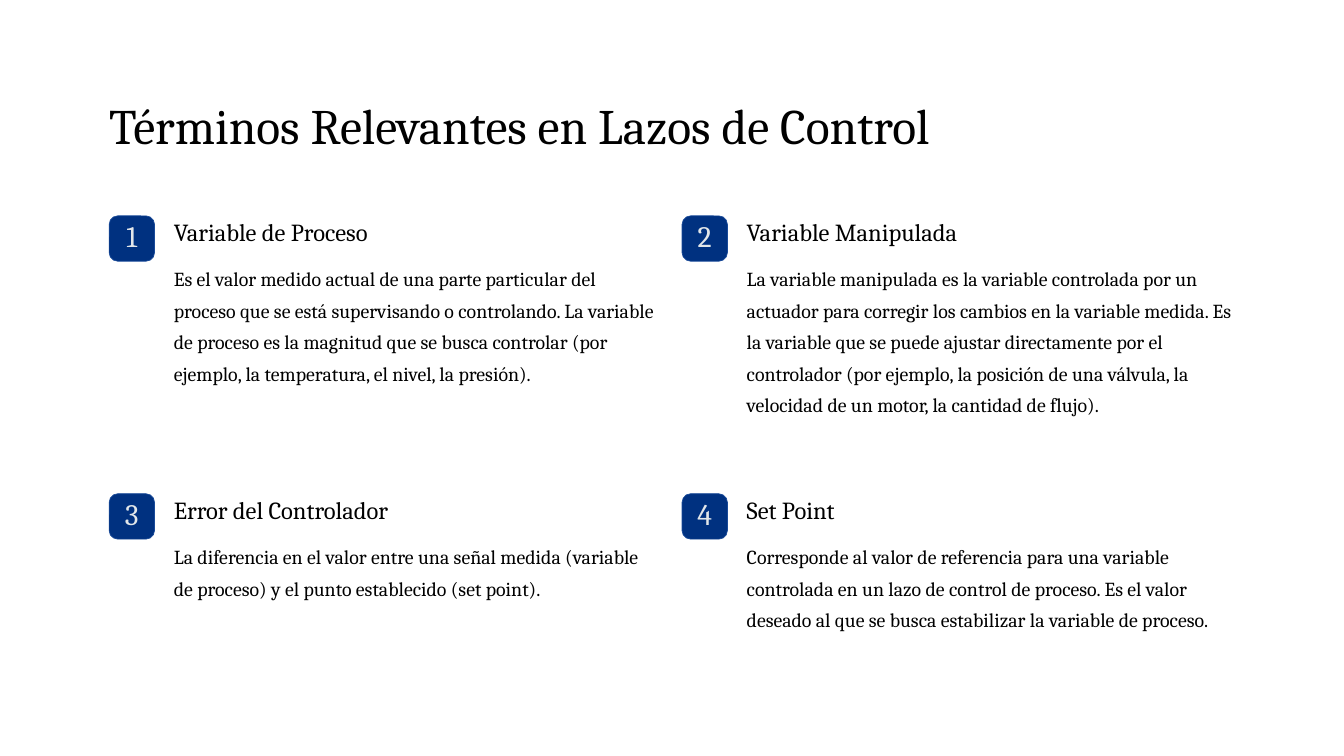
import pptx
import pptx.util
import pptx.dml.color
import pptx.enum.shapes
import pptx.enum.text

Pt = pptx.util.Pt
RGBColor = pptx.dml.color.RGBColor
PP_ALIGN = pptx.enum.text.PP_ALIGN
MSO_ANCHOR = pptx.enum.text.MSO_ANCHOR

# Content: heading, explanation, lines reserved for the explanation
TITLE = "Términos Relevantes en Lazos de Control"
TERMS = [
    ("Variable de Proceso",
     "Es el valor medido actual de una parte particular del proceso que se está "
     "supervisando o controlando. La variable de proceso es la magnitud que se busca "
     "controlar (por ejemplo, la temperatura, el nivel, la presión).", 5),
    ("Variable Manipulada",
     "La variable manipulada es la variable controlada por un actuador para corregir "
     "los cambios en la variable medida. Es la variable que se puede ajustar "
     "directamente por el controlador (por ejemplo, la posición de una válvula, la "
     "velocidad de un motor, la cantidad de flujo).", 6),
    ("Error del Controlador",
     "La diferencia en el valor entre una señal medida (variable de proceso) y el "
     "punto establecido (set point).", 3),
    ("Set Point",
     "Corresponde al valor de referencia para una variable controlada en un lazo de "
     "control de proceso. Es el valor deseado al que se busca estabilizar la variable "
     "de proceso.", 4),
]

# Style
FONT = "Cambria"
BLACK = RGBColor(0x00, 0x00, 0x00)
NAVY = RGBColor(0x00, 0x31, 0x80)
BLUE = RGBColor(0x19, 0x4A, 0x99)
PALE = RGBColor(0xE2, 0xE6, 0xE9)

# Grid, in points
LEFT, TOP = 93.6, 185.04
COLUMN_STEP, ROW_STEP = 491.04, 238.2
BADGE = 38.9
TEXT_INDENT, BODY_DROP = 55.4, 37.1
TEXT_WIDTH, BODY_LINE = 418.3, 27.36


def place(shape, left, top, width, height):
    shape.left, shape.top = Pt(left), Pt(top)
    shape.width, shape.height = Pt(width), Pt(height)


def write(shape, text, size, spacing, color=BLACK, align=PP_ALIGN.LEFT,
          anchor=MSO_ANCHOR.TOP):
    frame = shape.text_frame
    frame.text = text
    frame.word_wrap = True
    frame.auto_size = pptx.enum.text.MSO_AUTO_SIZE.NONE
    frame.vertical_anchor = anchor
    frame.margin_left = frame.margin_top = frame.margin_right = frame.margin_bottom = 0
    paragraph = frame.paragraphs[0]
    paragraph.alignment = align
    paragraph.line_spacing = Pt(spacing)
    font = paragraph.runs[0].font
    font.name, font.size, font.color.rgb = FONT, Pt(size), color


def add_text(slide, left, top, width, height, text, size, spacing):
    box = slide.shapes.add_textbox(Pt(left), Pt(top), Pt(width), Pt(height))
    write(box, text, size, spacing)


def add_badge(slide, left, top, number):
    badge = slide.shapes.add_shape(
        pptx.enum.shapes.MSO_SHAPE.ROUNDED_RECTANGLE,
        Pt(left), Pt(top), Pt(BADGE), Pt(BADGE))
    badge.adjustments[0] = 0.19
    badge.shadow.inherit = False
    badge.fill.solid()
    badge.fill.fore_color.rgb = NAVY
    badge.line.color.rgb = BLUE
    badge.line.width = Pt(0.6)
    write(badge, str(number), 25.5, 25.5, PALE, PP_ALIGN.CENTER, MSO_ANCHOR.MIDDLE)


def main():
    deck = pptx.Presentation()
    deck.slide_width, deck.slide_height = Pt(1152), Pt(648)
    slide = deck.slides.add_slide(deck.slide_layouts[5])

    # Title
    title = slide.shapes.title
    place(title, LEFT, 78.5, 870.5, 53.3)
    write(title, TITLE, 42.5, 53.5)

    # Numbered terms, two per row
    for index, (heading, body, lines) in enumerate(TERMS):
        row, column = divmod(index, 2)
        left = LEFT + column * COLUMN_STEP
        top = TOP + row * ROW_STEP
        text_left = left + TEXT_INDENT
        add_badge(slide, left, top, index + 1)
        add_text(slide, text_left, top, 220, 26.6, heading, 21, 26.5)
        add_text(slide, text_left, top + BODY_DROP, TEXT_WIDTH, lines * BODY_LINE,
                 body, 17, 27)

    deck.save("out.pptx")


if __name__ == "__main__":
    main()
